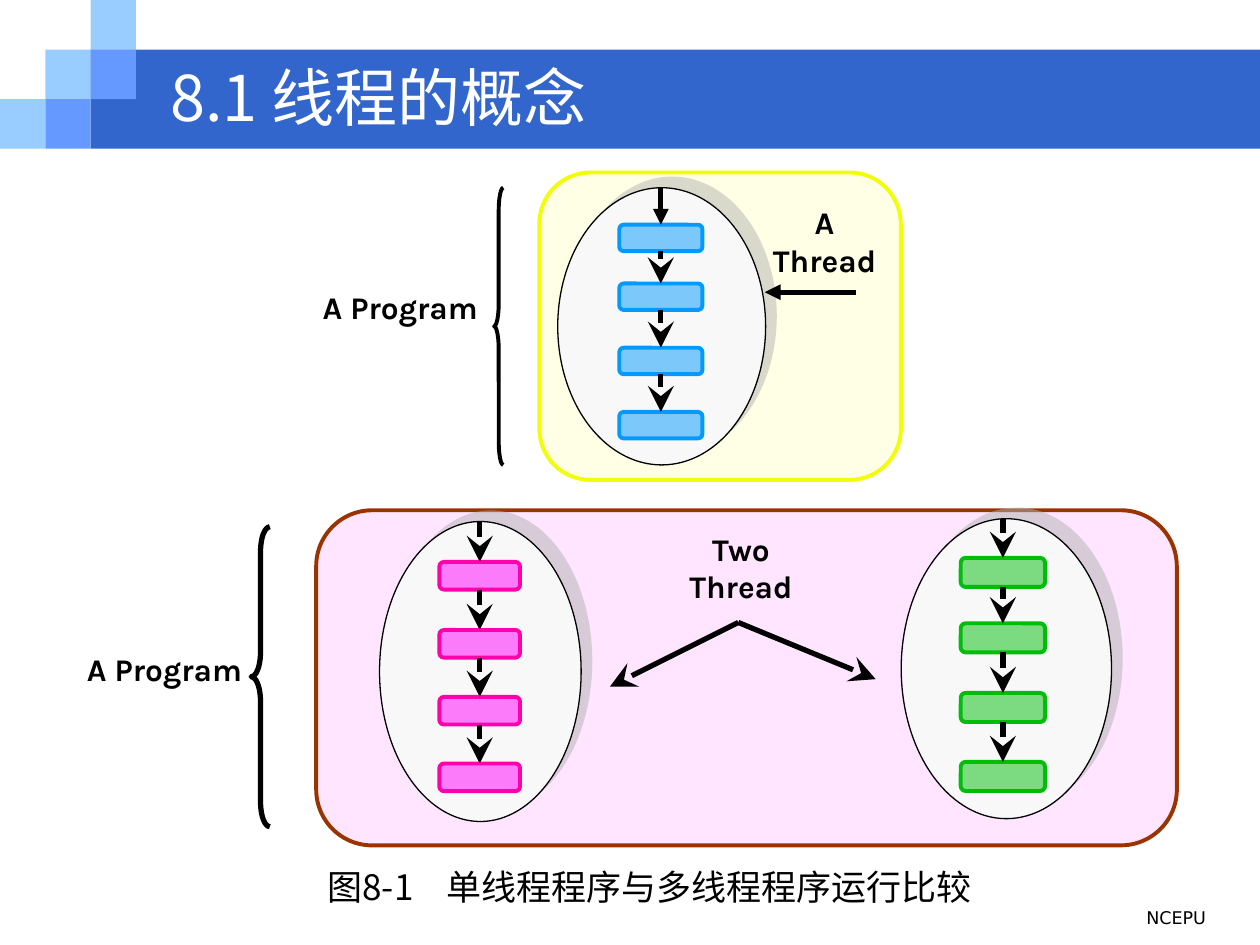
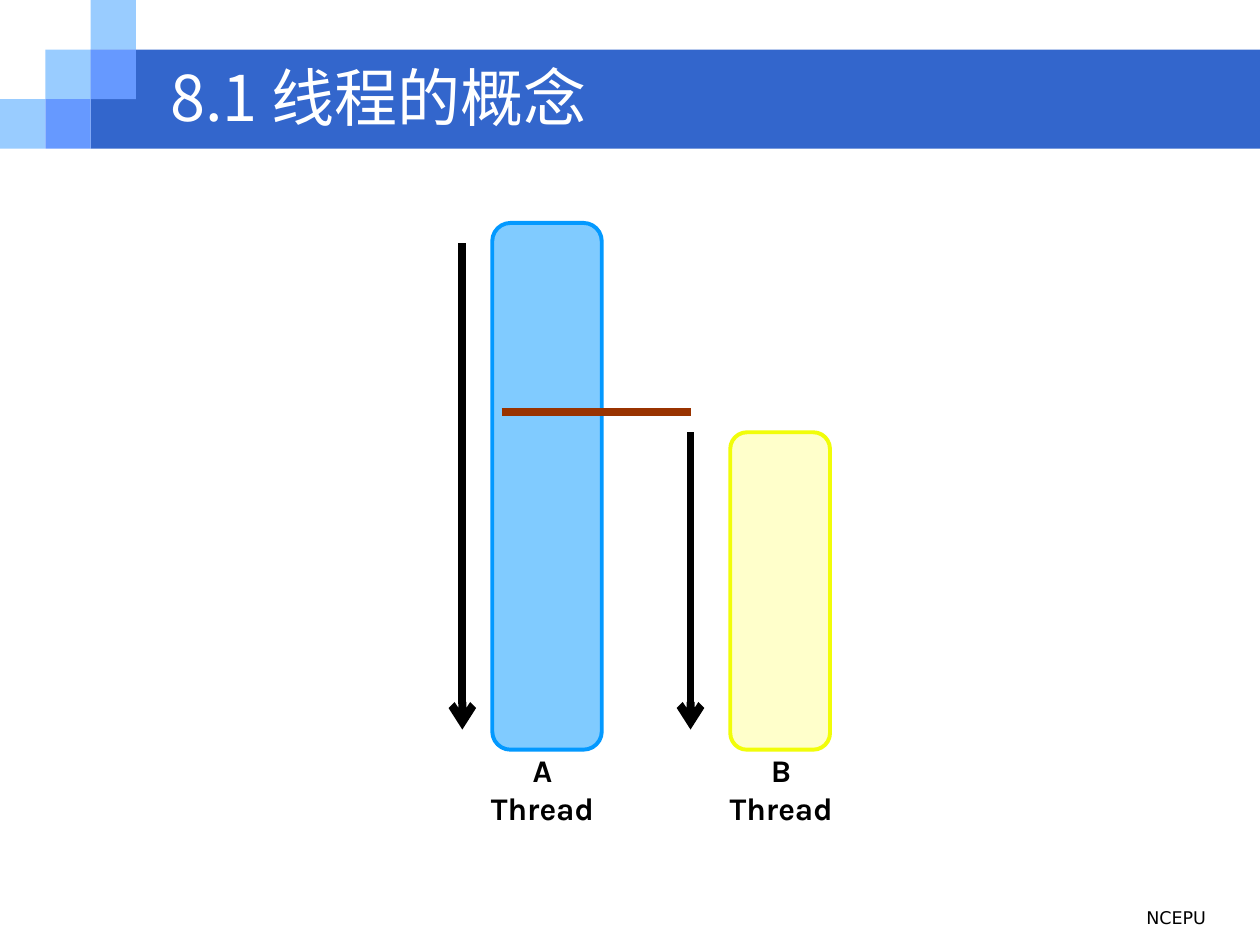
from lxml import etree
from pptx import Presentation
from pptx.dml.color import RGBColor
from pptx.enum.shapes import MSO_CONNECTOR, MSO_SHAPE
from pptx.enum.text import MSO_ANCHOR, PP_ALIGN
from pptx.oxml.ns import qn
from pptx.util import Pt

RECTANGLE = MSO_SHAPE.RECTANGLE
ROUNDED = MSO_SHAPE.ROUNDED_RECTANGLE
OVAL = MSO_SHAPE.OVAL
LEFT_BRACE = MSO_SHAPE.LEFT_BRACE
STRAIGHT = MSO_CONNECTOR.STRAIGHT
TOP, MIDDLE = MSO_ANCHOR.TOP, MSO_ANCHOR.MIDDLE
LEFT, CENTER, RIGHT = PP_ALIGN.LEFT, PP_ALIGN.CENTER, PP_ALIGN.RIGHT
SIDE_TOP, SIDE_BOTTOM = 0, 2

BLACK = RGBColor(0x00, 0x00, 0x00)
WHITE = RGBColor(0xFF, 0xFF, 0xFF)
BAND_BLUE = RGBColor(0x33, 0x66, 0xCC)
LIGHT_SQUARE = RGBColor(0x99, 0xCC, 0xFF)
DARK_SQUARE = RGBColor(0x66, 0x99, 0xFF)
OVAL_GRAY = RGBColor(0xF8, 0xF8, 0xF8)
BLUE = RGBColor(0x03, 0x99, 0xFF)
GREEN = RGBColor(0x01, 0xBD, 0x0A)
MAGENTA = RGBColor(0xFF, 0x00, 0xFF)
MAGENTA_EDGE = RGBColor(0xFF, 0x00, 0xAD)
PALE_YELLOW = RGBColor(0xFF, 0xFF, 0xCC)
SOFT_YELLOW = RGBColor(0xFF, 0xFF, 0x99)
YELLOW_EDGE = RGBColor(0xF1, 0xFD, 0x09)
PINK = RGBColor(0xFF, 0xCC, 0xFF)
BROWN = RGBColor(0x99, 0x33, 0x00)

LABEL_FONT = "Karla"
CHINESE_FONT = "Noto Sans CJK SC"
FOOTER_FONT = "DejaVu Sans"
SQUARE_WIDTH, SQUARE_HEIGHT = 25.9, 28.35
HEAD_SIZES = {"triangle": "med", "stealth": "lg", "arrow": "med"}


def add_box(slide, kind, bounds, fill=None, edge=None, edge_width=2.25, opacity=100):
    shape = slide.shapes.add_shape(kind, *[Pt(length) for length in bounds])
    shape.shadow.inherit = False
    if fill is None:
        shape.fill.background()
    else:
        shape.fill.solid()
        shape.fill.fore_color.rgb = fill
        if opacity < 100:
            color = shape._element.spPr.find(qn("a:solidFill"))[0]
            etree.SubElement(color, qn("a:alpha"), val=str(opacity * 1000))
    if edge is None:
        shape.line.fill.background()
    else:
        shape.line.color.rgb = edge
        shape.line.width = Pt(edge_width)
    return shape


def add_text(slide, bounds, lines, size=18, font=LABEL_FONT, color=BLACK, bold=False,
             alignment=CENTER, anchor=MIDDLE, wrap=False, tab=None):
    frame = slide.shapes.add_textbox(*[Pt(length) for length in bounds]).text_frame
    frame.word_wrap = wrap
    frame.vertical_anchor = anchor
    frame.text = "\n".join(lines)
    for paragraph in frame.paragraphs:
        paragraph.alignment = alignment
        if tab:
            tabs = etree.SubElement(paragraph._p.pPr, qn("a:tabLst"))
            etree.SubElement(tabs, qn("a:tab"), pos=str(Pt(tab)), algn="l")
        paragraph.font.size = Pt(size)
        paragraph.font.name = font
        paragraph.font.bold = bold
        paragraph.font.color.rgb = color
        if font == CHINESE_FONT:
            defaults = paragraph._p.pPr.find(qn("a:defRPr"))
            etree.SubElement(defaults, qn("a:ea"), typeface=font)


presentation = Presentation()
presentation.slide_width = Pt(720)
presentation.slide_height = Pt(540)

squares = [
    (0, 2, LIGHT_SQUARE), (1, 1, LIGHT_SQUARE), (2, 0, LIGHT_SQUARE),
    (2, 1, DARK_SQUARE), (1, 2, DARK_SQUARE),
]
for _ in range(2):
    slide = presentation.slides.add_slide(presentation.slide_layouts[6])
    add_box(slide, RECTANGLE, (51.8, 28.35, 668.2, 56.7), BAND_BLUE)
    for column, row, color in squares:
        add_box(slide, RECTANGLE, (column * SQUARE_WIDTH, row * SQUARE_HEIGHT,
                                   SQUARE_WIDTH, SQUARE_HEIGHT), color)
    add_text(slide, (90.3, 36, 581.8, 38.2), ["8.1 线程的概念"], 36, CHINESE_FONT, WHITE,
             alignment=LEFT, wrap=True)
    add_text(slide, (468, 514.8, 228.2, 25.2), ["NCEPU"], 10, FOOTER_FONT,
             alignment=RIGHT, anchor=TOP, wrap=True)
comparison_slide, timeline_slide = presentation.slides

programs = [
    ((308.2, 98.6, 206.6, 175.7), PALE_YELLOW, YELLOW_EDGE),
    ((180.7, 291.6, 491.8, 191.5), PINK, BROWN),
]
for bounds, fill, edge in programs:
    add_box(comparison_slide, ROUNDED, bounds, fill, edge, opacity=50)

threads = [
    ((318.7, 107.3, 118.8, 158.4), 353.9, (47.5, 15.1), (128.4, 162, 198.7, 235.4),
     BLUE, BLUE, "triangle"),
    ((515, 296.4, 120.2, 171.4), 549, (48.2, 16.6), (318.8, 356.2, 396, 435.4),
     GREEN, GREEN, "stealth"),
    ((216.9, 298, 115.2, 171.4), 251.1, (46.1, 15.8), (321.1, 360, 398.2, 436.3),
     MAGENTA, MAGENTA_EDGE, "stealth"),
]
arrows = []
for oval_bounds, left, (width, height), tops, fill, edge, entry_head in threads:
    oval = add_box(comparison_slide, OVAL, oval_bounds, OVAL_GRAY, BLACK, 0.75)
    effects = oval._element.spPr.find(qn("a:effectLst"))
    shadow = etree.SubElement(effects, qn("a:outerShdw"), dist=str(Pt(8.5)),
                              dir=str(315 * 60000), algn="ctr", rotWithShape="0")
    shadow_color = etree.SubElement(shadow, qn("a:srgbClr"), val="B2B2B2")
    etree.SubElement(shadow_color, qn("a:alpha"), val="50000")

    center, previous_end, previous_step = left + width / 2, oval_bounds[1], None
    head = entry_head
    for top in tops:
        step = add_box(comparison_slide, ROUNDED, (left, top, width, height), fill, edge,
                       opacity=50)
        arrows.append((comparison_slide, (center, previous_end, center, top), BLACK, 3,
                       head, previous_step, step))
        previous_end, previous_step, head = top + height, step, "stealth"

braces = [((282.4, 107.3, 5.2, 158.4), 2.25), ((143.6, 301, 10.6, 171.4), 3)]
for bounds, edge_width in braces:
    brace = add_box(comparison_slide, LEFT_BRACE, bounds, None, BLACK, edge_width)
    brace.adjustments[0] = bounds[3] / 12 / bounds[2]

add_box(timeline_slide, ROUNDED, (281.3, 127.4, 62.6, 301), BLUE, BLUE, opacity=50)
add_box(timeline_slide, ROUNDED, (417.3, 247, 57, 181.4), SOFT_YELLOW, YELLOW_EDGE,
        opacity=50)

labels = [
    (comparison_slide, (431.2, 120.2, 80, 34.6), ["A", "Thread"]),
    (comparison_slide, (173.7, 144, 110, 62.6), ["A Program"]),
    (comparison_slide, (373.7, 296.6, 99.4, 55.4), ["Two", "Thread"]),
    (comparison_slide, (39, 356.4, 110, 51.1), ["A Program"]),
    (timeline_slide, (270, 433.4, 80, 34.6), ["A", "Thread"]),
    (timeline_slide, (406.4, 433.4, 80, 34.6), ["B", "Thread"]),
]
for slide, bounds, lines in labels:
    add_text(slide, bounds, lines, bold=True)
add_text(comparison_slide, (180, 491, 401.8, 49), ["图8-1\t单线程程序与多线程程序运行比较"],
         20, CHINESE_FONT, alignment=LEFT, anchor=TOP, wrap=True, tab=67.8)

arrows += [
    (comparison_slide, (488.9, 167, 437, 167), BLACK, 3, "triangle", None, None),
    (comparison_slide, (421.9, 355.7, 348.5, 392.4), BLACK, 3, "stealth", None, None),
    (comparison_slide, (421.9, 355.7, 500.4, 388.1), BLACK, 3, "stealth", None, None),
    (timeline_slide, (264.2, 139, 264.2, 416.9), BLACK, 4.5, "arrow", None, None),
    (timeline_slide, (394.6, 247, 394.6, 416.9), BLACK, 4.5, "arrow", None, None),
    (timeline_slide, (286.6, 235.4, 394.6, 235.4), BROWN, 4.5, None, None, None),
]
for slide, ends, color, width, head, begin_shape, end_shape in arrows:
    connector = slide.shapes.add_connector(STRAIGHT, *[Pt(length) for length in ends])
    if begin_shape:
        connector.begin_connect(begin_shape, SIDE_BOTTOM)
    if end_shape:
        connector.end_connect(end_shape, SIDE_TOP)
    connector.line.color.rgb = color
    connector.line.width = Pt(width)
    if head:
        size = HEAD_SIZES[head]
        etree.SubElement(connector.line._get_or_add_ln(), qn("a:tailEnd"), type=head,
                         w=size, len=size)
    etree.SubElement(connector._element.spPr, qn("a:effectLst"))

presentation.save("out.pptx")
